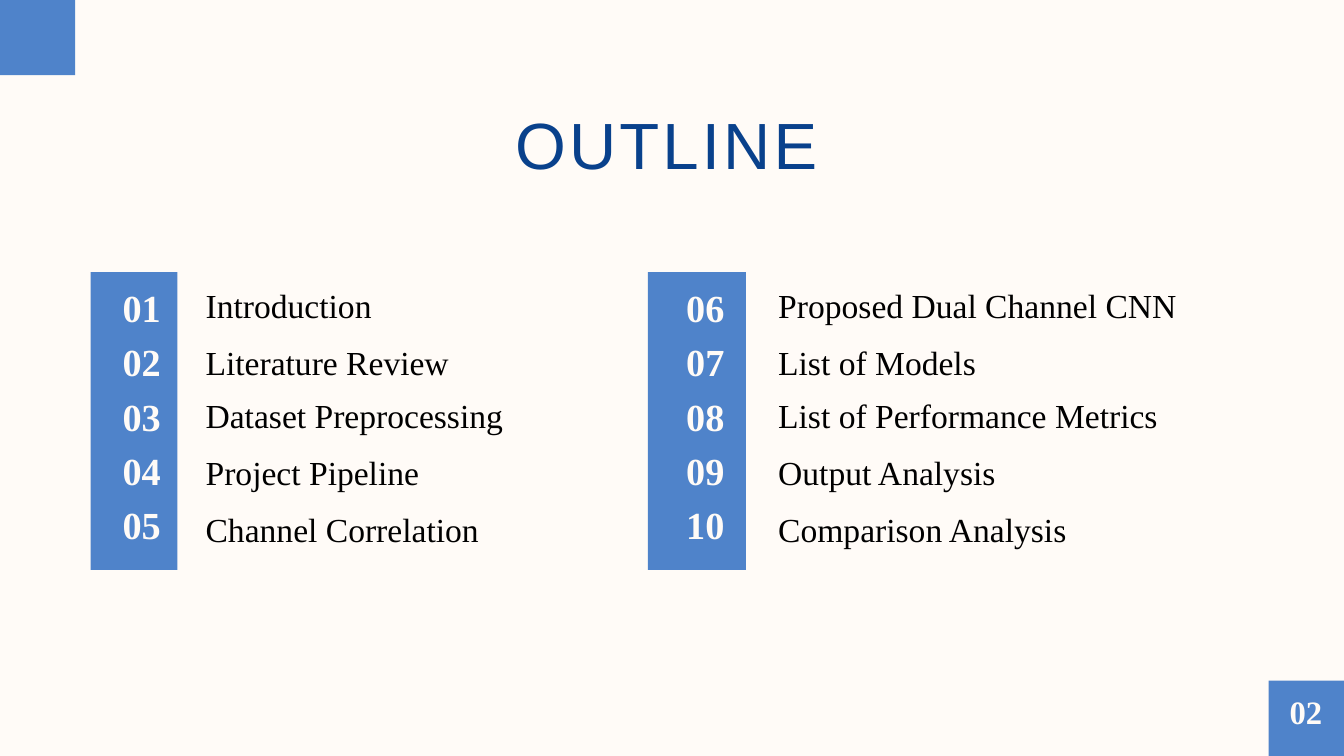
from lxml.etree import SubElement
from pptx import Presentation
from pptx.dml.color import RGBColor
from pptx.enum.shapes import MSO_SHAPE
from pptx.enum.text import MSO_AUTO_SIZE, PP_ALIGN
from pptx.oxml.ns import qn
from pptx.util import Inches, Pt

BLUE, NAVY, CREAM, BLACK = "155CBB", "09418C", "FFFBF7", "000000"
SERIF = "Times New Roman"
TITLE = {"name": "Arial", "size": Pt(70)}
LABEL = {"name": SERIF, "size": Pt(36)}
NUMBER = {"name": SERIF, "size": Pt(41), "bold": True}
PAGE_NUMBER = {"name": SERIF, "size": Pt(35), "bold": True}

NUMBER_TOP, NUMBER_PITCH = 4.34, 0.81
LABEL_TOPS = (4.34, 5.19, 5.97, 6.82, 7.67)
CORNER = 1.12

COLUMNS = (
    {"first": 1, "bar": (1.35, 1.29), "number": (1.58, 1.06), "label_left": 3.06,
     "labels": (("Introduction", 3.08), ("Literature Review", 4.3),
                ("Dataset Preprocessing", 5.1), ("Project Pipeline", 3.91),
                ("Channel Correlation", 4.49))},
    {"first": 6, "bar": (9.64, 1.46), "number": (9.89, 1.21), "label_left": 11.58,
     "labels": (("Proposed Dual Channel CNN", 8.42), ("List of Models", 6.99),
                ("List of Performance Metrics", 8.42), ("Output Analysis", 8.42),
                ("Comparison Analysis", 5.78))},
)


def paint(target, color):
    """Give a fill or background fill a solid colour from a hex string."""
    target.solid()
    target.fore_color.rgb = RGBColor.from_string(color)


def add_block(page, left, top, width, height):
    """Add a translucent blue rectangle without an outline."""
    block = page.shapes.add_shape(
        MSO_SHAPE.RECTANGLE, Inches(left), Inches(top), Inches(width), Inches(height))
    block.shadow.inherit = False
    paint(block.fill, BLUE)
    color = block.fill._xPr.find(qn("a:solidFill"))[0]
    SubElement(color, qn("a:alpha"), val="75000")
    block.line.fill.background()


def add_text(page, text, place, style, color, align=PP_ALIGN.CENTER, spacing=0):
    """Add one line of text whose line height equals its font size."""
    box = page.shapes.add_textbox(*(Inches(length) for length in place))
    frame = box.text_frame
    margins = dict.fromkeys(
        ("margin_left", "margin_top", "margin_right", "margin_bottom"), 0)
    settings = {**margins, "word_wrap": True, "auto_size": MSO_AUTO_SIZE.SHAPE_TO_FIT_TEXT}
    for name, value in settings.items():
        setattr(frame, name, value)
    para = frame.paragraphs[0]
    para.alignment = align
    para.line_spacing = style["size"]
    span = para.add_run()
    span.text = text
    for name, value in style.items():
        setattr(span.font, name, value)
    span.font.color.rgb = RGBColor.from_string(color)
    if spacing:
        span._r.get_or_add_rPr().set("spc", str(round(spacing * 100)))


def add_column(page, column):
    """Add a numbered bar with its list of topics."""
    bar_left, bar_width = column["bar"]
    number_left, number_width = column["number"]
    add_block(page, bar_left, 4.05, bar_width, 4.43)
    for row, (label, width) in enumerate(column["labels"]):
        top = NUMBER_TOP + row * NUMBER_PITCH
        add_text(page, f"{column['first'] + row:02d}",
                 (number_left, top, number_width, 0.68), NUMBER, CREAM)
        add_text(page, label, (column["label_left"], LABEL_TOPS[row], width, 0.59),
                 LABEL, BLACK, PP_ALIGN.LEFT)


def main():
    """Build the outline slide and save the deck."""
    deck = Presentation()
    deck.slide_width, deck.slide_height = Inches(20), Inches(11.25)
    page = deck.slides.add_slide(deck.slide_layouts[6])
    paint(page.background.fill, CREAM)
    add_text(page, "OUTLINE", (5.27, 1.74, 9.29, 1.01), TITLE, NAVY, spacing=3.5)
    for column in COLUMNS:
        add_column(page, column)
    add_block(page, 0, 0, CORNER, CORNER)
    add_block(page, 20 - CORNER, 11.25 - CORNER, CORNER, CORNER)
    add_text(page, "02", (18.97, 10.39, 0.93, 0.59), PAGE_NUMBER, CREAM)
    deck.save("out.pptx")


if __name__ == "__main__":
    main()
